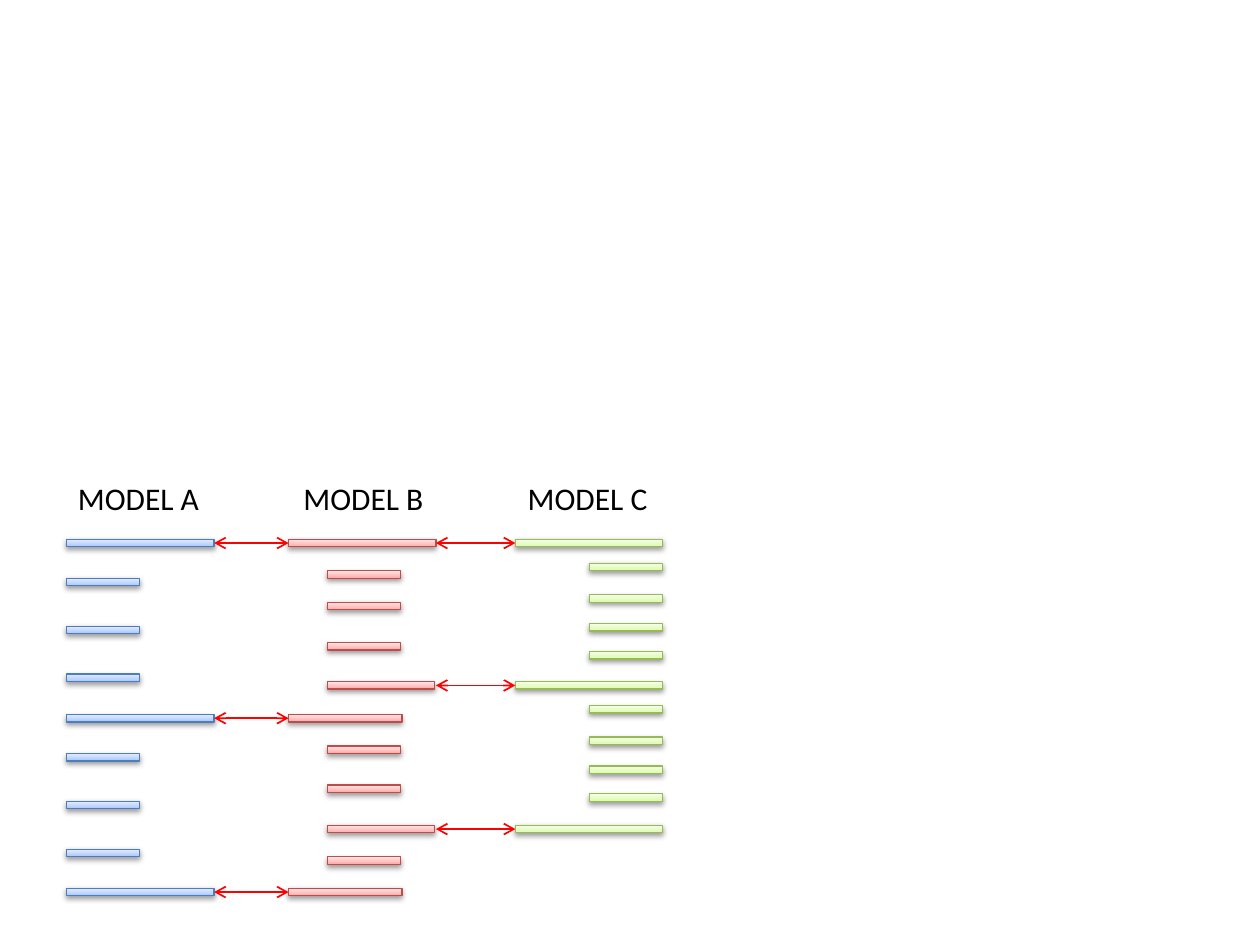
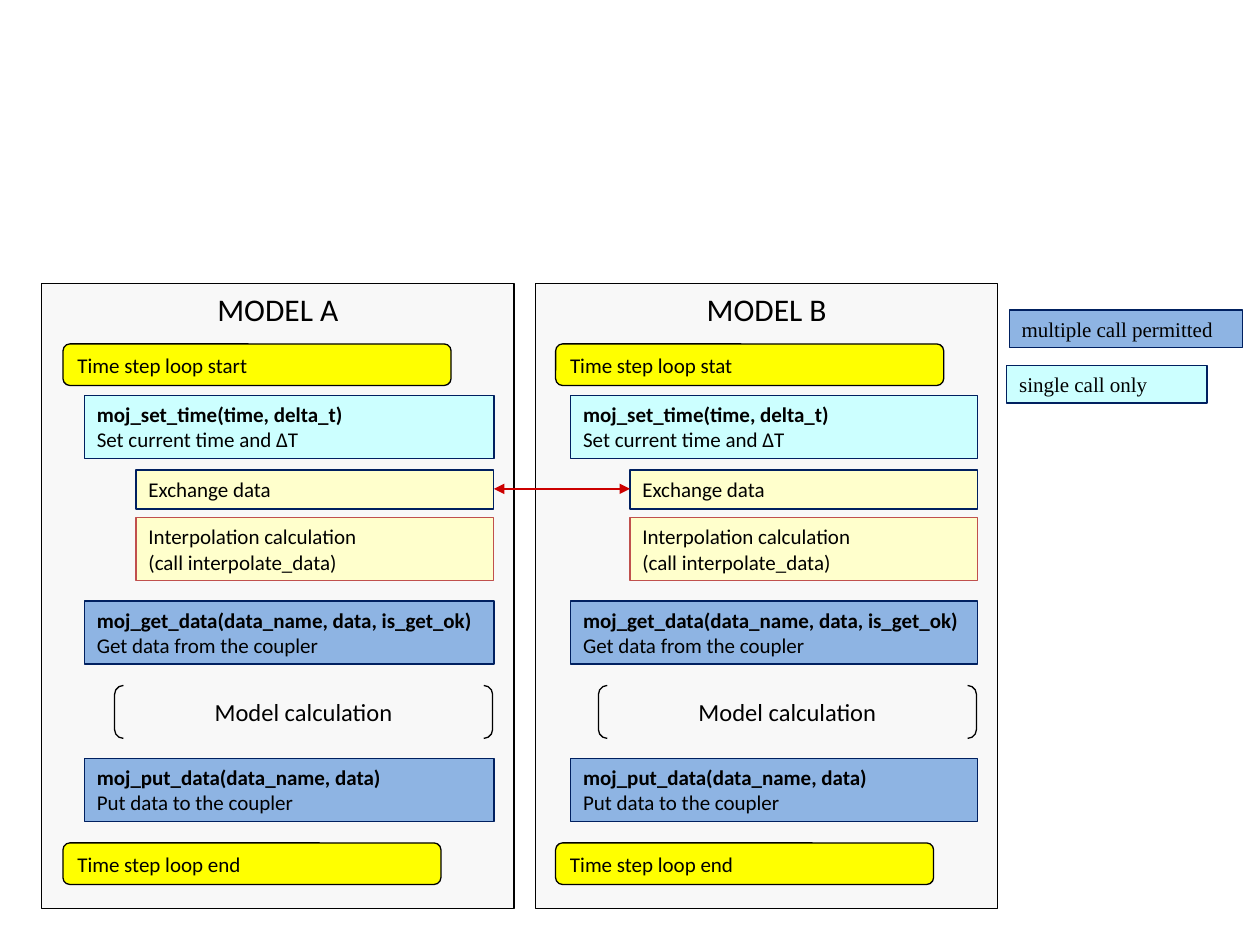
import copy
import dataclasses

import lxml.etree
import pptx
import pptx.dml.color
import pptx.enum.dml
import pptx.enum.shapes
import pptx.enum.text
import pptx.oxml.ns
import pptx.util

Inches = pptx.util.Inches
Pt = pptx.util.Pt
SHAPE = pptx.enum.shapes.MSO_SHAPE
ANCHOR = pptx.enum.text.MSO_ANCHOR
ALIGN = pptx.enum.text.PP_ALIGN
AUTO_SIZE = pptx.enum.text.MSO_AUTO_SIZE
qn = pptx.oxml.ns.qn


@dataclasses.dataclass(frozen=True)
class Theme:
    font: str = "Calibri"
    legend_font: str = "Times New Roman"
    heading: int = 18
    calculation: int = 14
    body: int = 12
    outline: float = 0.75
    text: str = "000000"
    panel: str = "F8F8F8"
    loop: str = "FFFF00"
    navy: str = "002060"
    brick: str = "C0504D"
    multiple_call: str = "8EB4E3"
    single_call: str = "CCFFFF"
    internal: str = "FFFFCC"
    step_arrow: str = "FF0000"
    exchange_arrow: str = "CC0000"
    # Outline, then gradient stops from bottom to top
    blue: tuple = ("4B7EBC", "A4C4FF", "BFD4FF", "E6EEFF")
    red: tuple = ("BF4C48", "FFA6A5", "FFC0BF", "FFE7E7")
    green: tuple = ("98B955", "DAFDA7", "E4FCC2", "F5FFE7")


THEME = Theme()
BAR_HEIGHT = 0.06
LONG_BAR, SHORT_BAR = 1.17, 0.58
STOP_POSITIONS = (0, 0.35, 1)


def rgb(value):
    return pptx.dml.color.RGBColor.from_string(value)


def set_attributes(target, values):
    for name, value in values.items():
        setattr(target, name, value)


def add_element(parent, tag, **attributes):
    return lxml.etree.SubElement(parent, qn(tag), attributes)


def write_lines(frame, lines, size=THEME.body, font=THEME.font, align=ALIGN.LEFT,
                bold_first=False):
    for index, line in enumerate(lines):
        paragraph = frame.paragraphs[0] if index == 0 else frame.add_paragraph()
        paragraph.alignment = align
        run = paragraph.add_run()
        run.text = line
        set_attributes(run.font, {"name": font, "size": Pt(size),
                                  "bold": bold_first and index == 0})
        run.font.color.rgb = rgb(THEME.text)


def add_outlined(shapes, kind, box, line):
    shape = shapes.add_shape(kind, *map(Inches, box))
    shape.shadow.inherit = False
    shape.line.color.rgb = rgb(line)
    shape.line.width = Pt(THEME.outline)
    return shape


def add_box(slide, box, lines, fill=None, line=THEME.text, kind=SHAPE.RECTANGLE,
            anchor=ANCHOR.TOP, fit=False, **text_format):
    shape = add_outlined(slide.shapes, kind, box, line)
    if fill:
        shape.fill.solid()
        shape.fill.fore_color.rgb = rgb(fill)
    else:
        shape.fill.background()
    set_attributes(shape.text_frame, {
        "word_wrap": True,
        "vertical_anchor": anchor,
        "auto_size": AUTO_SIZE.SHAPE_TO_FIT_TEXT if fit else AUTO_SIZE.NONE,
    })
    write_lines(shape.text_frame, lines, **text_format)


def add_heading(slide, left, text):
    frame = slide.shapes.add_textbox(
        *map(Inches, (left, 3.75, LONG_BAR, 0.4))).text_frame
    set_attributes(frame, {"word_wrap": False,
                           "auto_size": AUTO_SIZE.SHAPE_TO_FIT_TEXT})
    write_lines(frame, [text], size=THEME.heading)


def add_double_arrow(shapes, start, end, y, color, width, head):
    connector = shapes.add_connector(pptx.enum.shapes.MSO_CONNECTOR.STRAIGHT,
                                     *map(Inches, (start, y, end, y)))
    connector.line.color.rgb = rgb(color)
    connector.line.width = Pt(width)
    properties = connector._element.spPr
    line = properties.find(qn("a:ln"))
    for tag in ("a:headEnd", "a:tailEnd"):
        add_element(line, tag, type=head)
    add_element(properties, "a:effectLst")


def add_step_bar(shapes, left, top, width, palette):
    outline, *colors = palette
    bar = add_outlined(shapes, SHAPE.RECTANGLE, (left, top, width, BAR_HEIGHT), outline)
    bar.fill.gradient()
    bar.fill.gradient_angle = 90
    properties = bar._element.spPr
    stop_list = properties.find(".//" + qn("a:gsLst"))
    stop_list.append(copy.deepcopy(stop_list[-1]))
    for stop, position, color in zip(bar.fill.gradient_stops, STOP_POSITIONS, colors):
        stop.position = position
        stop.color.rgb = rgb(color)
    # Soft shadow straight below the bar
    shadow = add_element(properties.find(qn("a:effectLst")), "a:outerShdw",
                         blurRad=str(Pt(3.1)), dist=str(Pt(1.6)),
                         dir="5400000", rotWithShape="0")
    add_element(add_element(shadow, "a:srgbClr", val="000000"), "a:alpha", val="38000")


def add_step_cycles(shapes, long_left, short_left, long_tops, offsets, palette):
    """Long bars where data is exchanged, short bars for the steps between."""
    for top in long_tops:
        add_step_bar(shapes, long_left, top, LONG_BAR, palette)
    for start in long_tops[:-1]:
        for offset in offsets:
            add_step_bar(shapes, short_left, start + offset, SHORT_BAR, palette)


def build_time_steps(slide):
    shapes = slide.shapes.add_group_shape().shapes
    a_left, b_left, c_left = 0.53, 2.29, 4.09
    b_inner = 2.6
    a_tops = (4.28, 5.67, 7.05)
    c_tops = (4.28, 5.41, 6.55)

    # Models A and C repeat a regular cycle
    add_step_cycles(shapes, a_left, a_left, a_tops, (0.31, 0.69, 1.07), THEME.blue)
    add_step_cycles(shapes, c_left, c_left + LONG_BAR - SHORT_BAR, c_tops,
                    (0.19, 0.44, 0.67, 0.89), THEME.green)

    # Model B reaches left to A, right to C, or neither
    b_bars = (
        (b_left, LONG_BAR, a_tops[:1]),
        (b_left, 0.9, a_tops[1:]),
        (b_inner, 0.85, c_tops[1:]),
        (b_inner, SHORT_BAR, (4.53, 4.78, 5.1, 5.92, 6.23, 6.8)),
    )
    for left, width, tops in b_bars:
        for top in tops:
            add_step_bar(shapes, left, top, width, THEME.red)

    # Exchanges between neighbouring models
    for start, end, tops in ((a_left + LONG_BAR, b_left, a_tops),
                             (b_left + LONG_BAR, c_left, c_tops)):
        for top in tops:
            add_double_arrow(shapes, start, end, top + BAR_HEIGHT / 2,
                             THEME.step_arrow, 1, "arrow")

    for left, name in ((0.52, "A"), (2.31, "B"), (4.09, "C")):
        add_heading(slide, left, f"MODEL {name}")


@dataclasses.dataclass(frozen=True)
class ModelColumn:
    name: str
    loop_start: str
    panel_left: float
    panel_width: float
    loop_left: float
    call_left: float
    inner_left: float
    bracket_left: float
    right: float


MODEL_A = ModelColumn("MODEL A", "Time step loop start",
                      0.33, 3.75, 0.5, 0.67, 1.08, 0.91, 3.92)
MODEL_B = ModelColumn("MODEL B", "Time step loop stat",
                      4.25, 3.67, 4.41, 4.53, 5, 4.75, 7.76)

CALLS = (
    (3.14, THEME.single_call, "moj_set_time(time, delta_t)", "Set current time and ΔT"),
    (4.77, THEME.multiple_call, "moj_get_data(data_name, data, is_get_ok)",
     "Get data from the coupler"),
    (6.02, THEME.multiple_call, "moj_put_data(data_name, data)",
     "Put data to the coupler"),
)
INTERNAL_STEPS = (
    (3.73, 0.31, THEME.navy, ("Exchange data",)),
    (4.11, 0.5, THEME.brick, ("Interpolation calculation", "(call interpolate_data)")),
)


def add_model_column(slide, model):
    add_box(slide, (model.panel_left, 2.25, model.panel_width, 4.96), [model.name],
            THEME.panel, size=THEME.heading, align=ALIGN.CENTER)

    # Start and end of the loop
    for top, width, text in ((2.73, 3.08, model.loop_start),
                             (6.69, 3, "Time step loop end")):
        add_box(slide, (model.loop_left, top, width, 0.33), [text], THEME.loop,
                kind=SHAPE.ROUNDED_RECTANGLE, anchor=ANCHOR.MIDDLE)

    # Coupler calls and what happens inside them
    for top, fill, call, purpose in CALLS:
        add_box(slide, (model.call_left, top, model.right - model.call_left, 0.5),
                [call, purpose], fill, THEME.navy, fit=True, bold_first=True)
    for top, height, line, lines in INTERNAL_STEPS:
        add_box(slide, (model.inner_left, top, model.right - model.inner_left, height),
                lines, THEME.internal, line, fit=True)

    add_box(slide, (model.bracket_left, 5.44, 3, 0.42), ["Model calculation"],
            kind=SHAPE.DOUBLE_BRACKET, anchor=ANCHOR.MIDDLE,
            size=THEME.calculation, align=ALIGN.CENTER)


def build_call_sequence(slide):
    for model in (MODEL_B, MODEL_A):
        add_model_column(slide, model)
    add_double_arrow(slide.shapes, MODEL_A.right, MODEL_B.inner_left, 3.88,
                     THEME.exchange_arrow, 1.5, "triangle")

    # Legend
    for left, top, width, fill, text in (
            (8.01, 2.46, 1.85, THEME.multiple_call, "multiple call permitted"),
            (7.99, 2.9, 1.59, THEME.single_call, "single call only")):
        add_box(slide, (left, top, width, 0.3), [text], fill, THEME.navy, fit=True,
                font=THEME.legend_font)


def main():
    presentation = pptx.Presentation()
    set_attributes(presentation, {"slide_width": Inches(10), "slide_height": Inches(7.5)})
    blank_layout = presentation.slide_layouts[6]
    for build in (build_time_steps, build_call_sequence):
        build(presentation.slides.add_slide(blank_layout))
    presentation.save("out.pptx")


if __name__ == "__main__":
    main()
